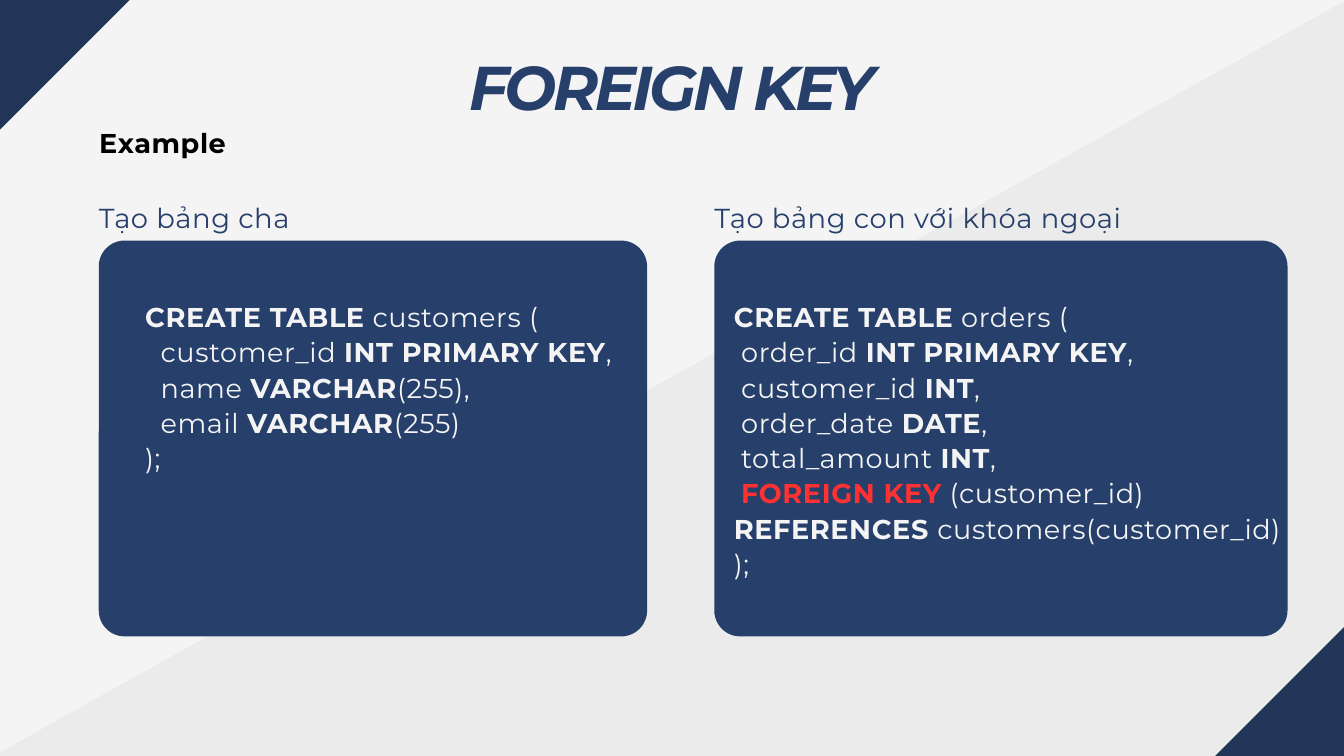
from lxml import etree
from pptx import Presentation
from pptx import util as u
from pptx.dml.color import RGBColor
from pptx.enum import shapes, text
from pptx.oxml.ns import qn

PX = 9144
FONT = "Montserrat"
NAVY, DARK, PALE, RED = "263F6B", "213559", "F4F4F4", "FF3131"

TITLE = "FOREIGN KEY"
SUBTITLE = "Example"
BANDS = [
    ((-122, 476, 2820, 1048), 330.8, "545454", 5),
    ((-289, -136, 579, 272), 315, DARK, 100),
    ((1711, 989, 579, 272), 315, DARK, 100),
]
PANELS = [
    {
        "label": "Tạo bảng cha", "left": 147, "width": 816,
        "code_left": 216, "code_width": 695, "indent": 23,
        "code": [
            ["*CREATE TABLE", " customers ("],
            ["customer_id ", "*INT PRIMARY KEY", ","],
            ["name ", "*VARCHAR", "(255),"],
            ["email ", "*VARCHAR", "(255)"],
            [");"],
        ],
    },
    {
        "label": "Tạo bảng con với khóa ngoại", "left": 1063, "width": 853,
        "code_left": 1092, "code_width": 824, "indent": 11,
        "code": [
            ["*CREATE TABLE", " orders ("],
            ["order_id ", "*INT PRIMARY KEY", ","],
            ["customer_id ", "*INT", ","],
            ["order_date ", "*DATE", ","],
            ["total_amount ", "*INT", ","],
            ["!FOREIGN KEY", " (customer_id) ", "*REFERENCES ", "customers(customer_id)"],
            [");"],
        ],
    },
]
PANEL_TOP, PANEL_HEIGHT, RADIUS = 358, 589, 38.5
LABEL_TOP, LABEL_HEIGHT, CODE_TOP, LINE_HEIGHT = 271, 69, 443, 52


def color(value):
    return RGBColor.from_string(value)


def emu(*lengths):
    return [round(length * PX) for length in lengths]


def add_block(slide, kind, box, fill):
    shape = slide.shapes.add_shape(kind, *emu(*box))
    shape.shadow.inherit = False
    shape.fill.solid()
    shape.fill.fore_color.rgb = color(fill)
    shape.line.fill.background()
    return shape


def set_opacity(shape, percent):
    fill = shape.fill.fore_color._xFill.find(qn("a:srgbClr"))
    etree.SubElement(fill, qn("a:alpha")).set("val", str(percent * 1000))


def prepare_frame(shape):
    frame = shape.text_frame
    frame.word_wrap = True
    frame.auto_size = text.MSO_AUTO_SIZE.NONE
    frame.vertical_anchor = text.MSO_ANCHOR.TOP
    frame.margin_left = frame.margin_top = frame.margin_right = frame.margin_bottom = 0
    return frame


def add_textbox(slide, box):
    return prepare_frame(slide.shapes.add_textbox(*emu(*box)))


def format_paragraph(paragraph, spacing, centered=False):
    paragraph.line_spacing = u.Pt(spacing)
    paragraph.space_before = u.Pt(0)
    paragraph.alignment = text.PP_ALIGN.CENTER if centered else text.PP_ALIGN.LEFT


def add_run(paragraph, content, size, fill, bold=False, italic=False, tracking=0.6):
    run = paragraph.add_run()
    run.text = content
    run.font.name = FONT
    run.font.size = u.Pt(size)
    run.font.bold = bold
    run.font.italic = italic
    run.font.color.rgb = color(fill)
    run.font._element.set("spc", str(round(tracking * 100)))


def add_code(slide, panel):
    lines = panel["code"]
    box = (panel["code_left"], CODE_TOP, panel["code_width"], LINE_HEIGHT * (len(lines) + 1))
    frame = add_textbox(slide, box)
    for index, line in enumerate(lines):
        paragraph = frame.paragraphs[0] if index == 0 else frame.add_paragraph()
        format_paragraph(paragraph, 37.8)
        if 0 < index < len(lines) - 1:
            properties = paragraph._p.get_or_add_pPr()
            properties.set("marL", "0")
            properties.set("indent", str(panel["indent"] * PX))
        for part in line:
            keyword = part[0] in "*!"
            add_run(paragraph, part[1:] if keyword else part, 29.1,
                    RED if part[0] == "!" else PALE, bold=keyword)


def add_panel(slide, panel):
    card = add_block(slide, shapes.MSO_SHAPE.ROUNDED_RECTANGLE,
                     (panel["left"], PANEL_TOP, panel["width"], PANEL_HEIGHT), NAVY)
    card.adjustments[0] = RADIUS / PANEL_HEIGHT
    label = add_textbox(slide, (panel["left"], LABEL_TOP, 678, LABEL_HEIGHT)).paragraphs[0]
    format_paragraph(label, 55.9)
    add_run(label, panel["label"], 29.4, NAVY)
    add_code(slide, panel)


def add_title(slide):
    title = slide.shapes.title
    title.left, title.top, title.width, title.height = emu(416, 92, 1167, 94)
    paragraph = prepare_frame(title).paragraphs[0]
    format_paragraph(paragraph, 64.9, centered=True)
    add_run(paragraph, TITLE, 66.2, NAVY, bold=True, italic=True, tracking=-3.9)
    slide.shapes._spTree.append(title._element)


def main():
    presentation = Presentation()
    presentation.slide_width, presentation.slide_height = emu(2000, 1125)
    slide = presentation.slides.add_slide(presentation.slide_layouts[5])
    slide.background.fill.solid()
    slide.background.fill.fore_color.rgb = color(PALE)

    for box, rotation, fill, opacity in BANDS:
        band = add_block(slide, shapes.MSO_SHAPE.RECTANGLE, box, fill)
        band.rotation = rotation
        if opacity < 100:
            set_opacity(band, opacity)

    add_title(slide)
    for panel in PANELS:
        add_panel(slide, panel)

    subtitle = add_textbox(slide, (147, 184, 190, 50)).paragraphs[0]
    format_paragraph(subtitle, 37.8, centered=True)
    add_run(subtitle, SUBTITLE, 29.1, "000000", bold=True)
    presentation.save("out.pptx")


if __name__ == "__main__":
    main()
